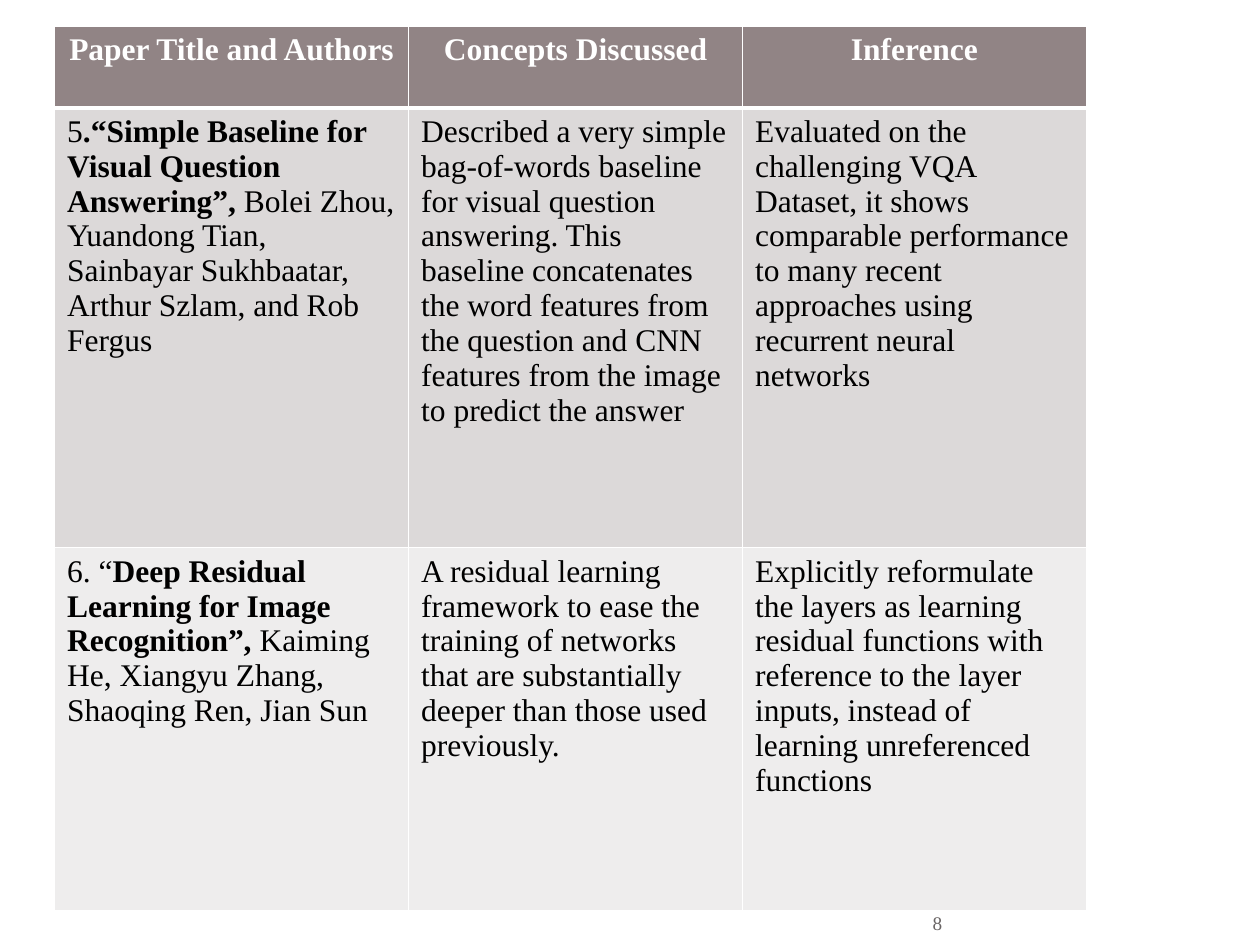
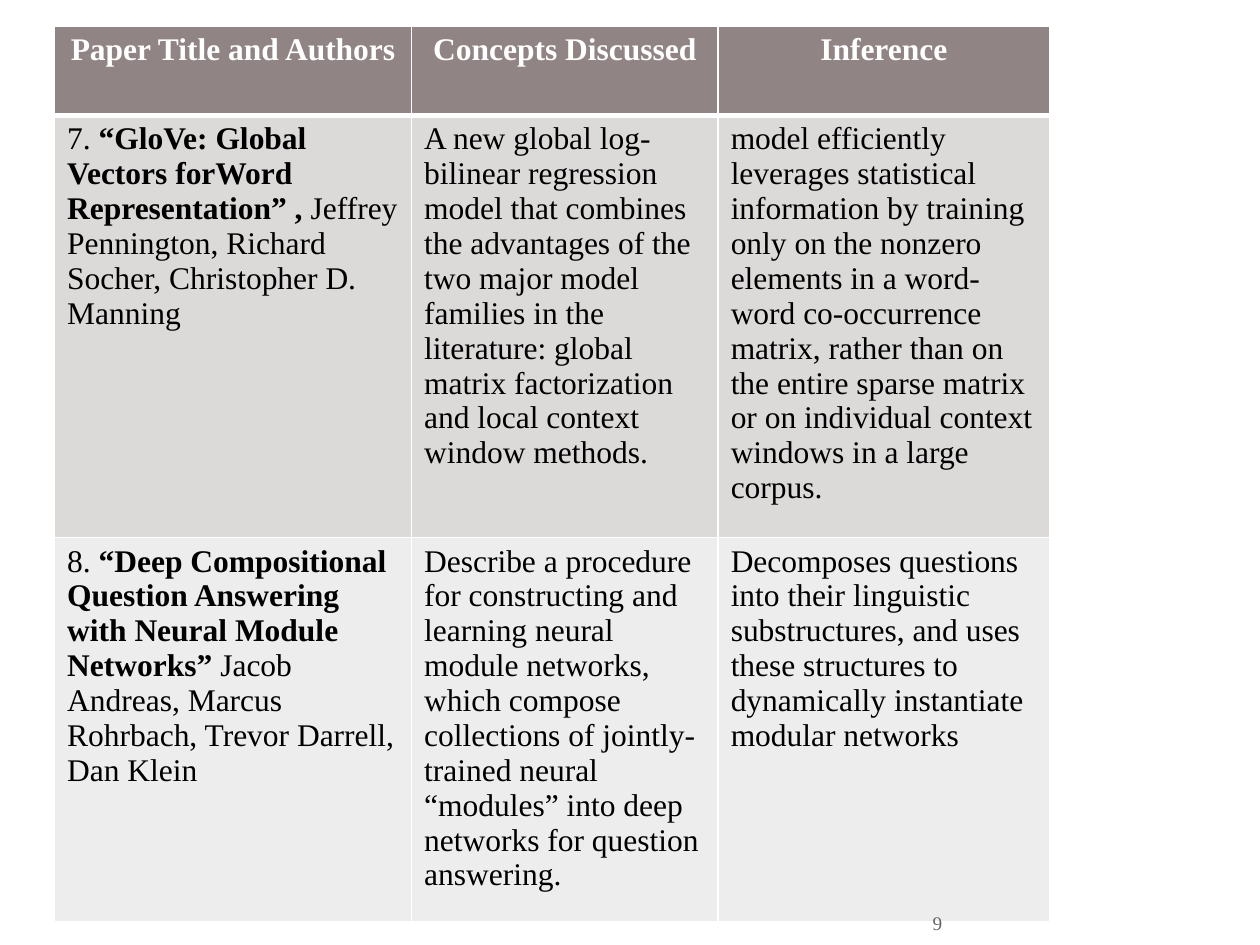
"""Build two literature survey slides, each with a table of papers and a page number."""
from lxml.etree import SubElement
from pptx import Presentation
from pptx.dml.color import RGBColor
from pptx.enum.text import MSO_ANCHOR, PP_ALIGN
from pptx.oxml.ns import qn
from pptx.util import Pt

COLORS = {
    "header": "918485",
    "first_paper": "DCD9D9",
    "second_paper": "EEEDED",
    "white": "FFFFFF",
    "text": "000000",
    "page_number": "696464",
}
FONT = "Times New Roman"
HEADINGS = ["Paper Title and Authors", "Concepts Discussed", "Inference"]
ROW_FILLS = ["header", "first_paper", "second_paper"]

SURVEY_PAGES = [
    {
        "number": "8",
        "columns": [202.3, 190.8, 196.6],
        "rows": [46.7, 251.3, 207.2],
        "papers": [
            (
                ("5", ".“Simple Baseline for Visual Question Answering”, ",
                 "Bolei Zhou, Yuandong Tian, Sainbayar Sukhbaatar, Arthur Szlam, and Rob Fergus"),
                ["Described a very simple bag-of-words baseline for visual question answering. "
                 "This baseline concatenates the word features from the question and CNN "
                 "features from the image to predict the answer"],
                ["Evaluated on the challenging VQA",
                 "Dataset, it shows comparable performance to many recent approaches using",
                 "recurrent neural networks"],
            ),
            (
                ("6. “", "Deep Residual Learning for Image Recognition”, ",
                 "Kaiming He, Xiangyu Zhang, Shaoqing Ren, Jian Sun"),
                ["A residual learning framework to ease the training of networks that are "
                 "substantially deeper than those used",
                 "previously."],
                ["Explicitly reformulate the layers as learning",
                 "residual functions with reference to the layer inputs, instead of learning "
                 "unreferenced functions"],
            ),
        ],
    },
    {
        "number": "9",
        "columns": [204, 175.2, 189.4],
        "rows": [51, 226.5, 206.5],
        "papers": [
            (
                ("7. ", "“GloVe: Global Vectors forWord Representation” ,",
                 " Jeffrey Pennington, Richard Socher, Christopher D. Manning"),
                ["A new global log-bilinear regression model that combines",
                 "the advantages of the two major model",
                 "families in the literature: global matrix factorization and local context "
                 "window methods."],
                ["model efficiently leverages statistical information by training only on the "
                 "nonzero elements in a word-word co-occurrence",
                 "matrix, rather than on the entire sparse matrix or on individual context",
                 "windows in a large corpus."],
            ),
            (
                ("8. ", "“Deep Compositional Question Answering with Neural Module Networks”",
                 " Jacob Andreas, Marcus Rohrbach, Trevor Darrell, Dan Klein"),
                ["Describe a procedure for constructing and learning neural module networks, "
                 "which compose collections of jointly-trained neural “modules” into deep "
                 "networks for question answering."],
                ["Decomposes questions into their linguistic substructures, and uses these "
                 "structures to dynamically instantiate modular networks"],
            ),
        ],
    },
]


def style_font(paragraph, size, color):
    """Set the shared typeface with a size and a named colour."""
    paragraph.font.name = FONT
    paragraph.font.size = Pt(size)
    paragraph.font.color.rgb = RGBColor.from_string(COLORS[color])


def style_cell(cell, row_index):
    """Give a cell its white borders, the fill of its row and no bottom margin."""
    properties = cell._tc.get_or_add_tcPr()
    widths = {
        "a:lnL": 1,
        "a:lnR": 1,
        "a:lnT": 3 if row_index == 1 else 1,
        "a:lnB": 3 if row_index == 0 else 1,
    }
    for side, width in widths.items():
        line = SubElement(properties, qn(side), w=str(Pt(width)))
        fill = SubElement(line, qn("a:solidFill"))
        SubElement(fill, qn("a:srgbClr"), val=COLORS["white"])
    cell.fill.solid()
    cell.fill.fore_color.rgb = RGBColor.from_string(COLORS[ROW_FILLS[row_index]])
    cell.margin_bottom = 0


presentation = Presentation()
presentation.slide_width = Pt(720)
presentation.slide_height = Pt(540)

for page in SURVEY_PAGES:
    slide = presentation.slides.add_slide(presentation.slide_layouts[6])
    table = slide.shapes.add_table(
        3, 3, Pt(31.2), Pt(15), Pt(sum(page["columns"])), Pt(sum(page["rows"]))
    ).table
    for column, width in zip(table.columns, page["columns"]):
        column.width = Pt(width)
    for row, height in zip(table.rows, page["rows"]):
        row.height = Pt(height)

    for column_index, heading in enumerate(HEADINGS):
        cell = table.cell(0, column_index)
        style_cell(cell, 0)
        cell.text = heading
        paragraph = cell.text_frame.paragraphs[0]
        paragraph.alignment = PP_ALIGN.CENTER
        style_font(paragraph, 18, "white")
        paragraph.font.bold = True

    for row_index, (citation, concepts, inference) in enumerate(page["papers"], start=1):
        paragraph = table.cell(row_index, 0).text_frame.paragraphs[0]
        for text, bold in zip(citation, (False, True, False)):
            run = paragraph.add_run()
            run.text = text
            run.font.bold = bold
        table.cell(row_index, 1).text = "\n".join(concepts)
        table.cell(row_index, 2).text = "\n".join(inference)
        for cell in table.rows[row_index].cells:
            style_cell(cell, row_index)
            for paragraph in cell.text_frame.paragraphs:
                style_font(paragraph, 18, "text")

    number_box = slide.shapes.add_textbox(Pt(492.5), Pt(516.2), Pt(46), Pt(18))
    frame = number_box.text_frame
    frame.word_wrap = True
    frame.vertical_anchor = MSO_ANCHOR.BOTTOM
    frame.margin_left = frame.margin_right = frame.margin_top = frame.margin_bottom = 0
    frame.text = page["number"]
    frame.paragraphs[0].alignment = PP_ALIGN.RIGHT
    style_font(frame.paragraphs[0], 11, "page_number")

presentation.save("out.pptx")
